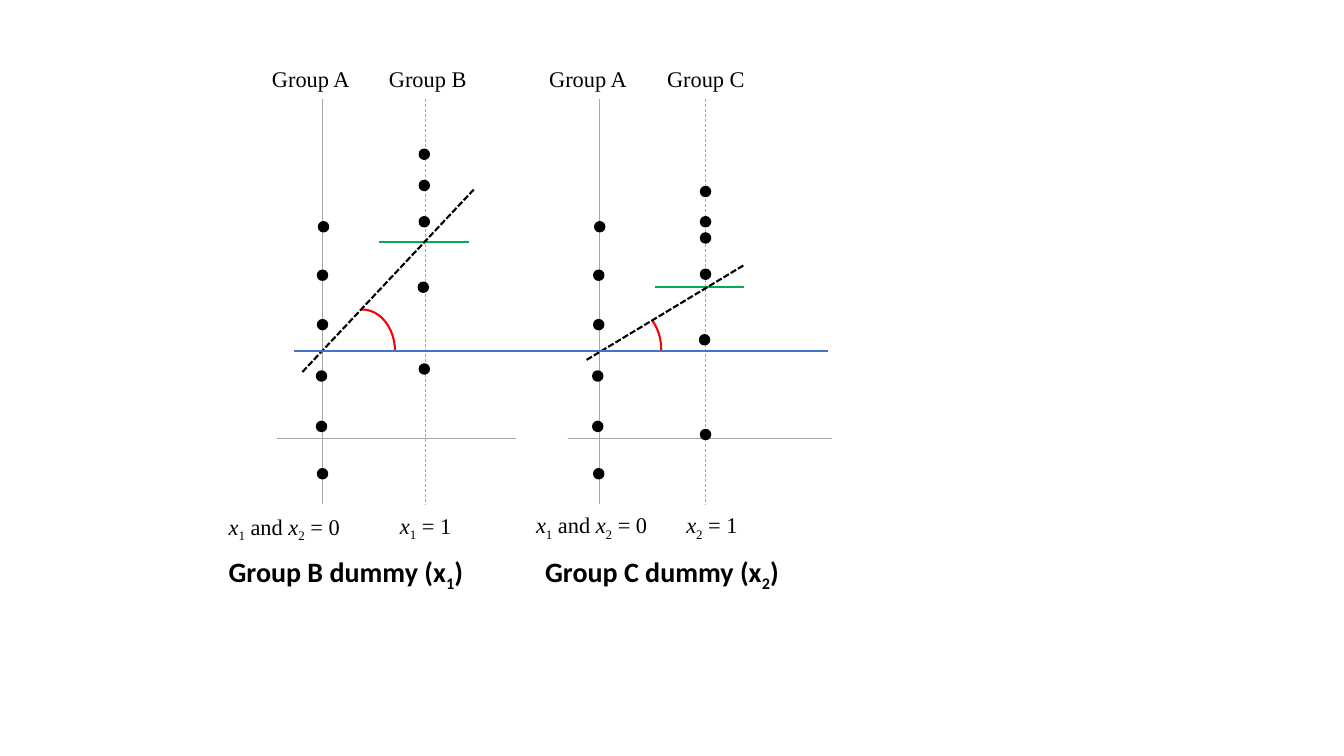
from lxml.etree import SubElement
from pptx import Presentation
from pptx.dml.color import RGBColor
from pptx.enum.dml import MSO_LINE
from pptx.enum.shapes import MSO_CONNECTOR, MSO_SHAPE
from pptx.enum.text import MSO_AUTO_SIZE
from pptx.oxml.ns import qn
from pptx.util import Pt

BLACK, GRAY, GREEN, RED, BLUE = "000000", "A6A6A6", "00B050", "FF0000", "4472C4"
SERIF, SANS = "Times New Roman", "Calibri"
AXIS_HEIGHT = 289.4
BASELINE_Y = 242.6
DOT = 7.2
GROUP_A_DOTS = [(0.7, 91.4), (0, 126), (0, 161.3), (-0.7, 198), (-0.7, 234), (0, 267.8)]
X1 = [("x", "i"), ("1", "sub")]
X2 = [("x", "i"), ("2", "sub")]

PANELS = [
    dict(
        left=230.4, group="Group B", term=X1, title=["Group B dummy (x", "1", ")"],
        group_x=73.4, baseline=(-32.4, 138.2), shift_a=0,
        dots=[(-0.7, 39.6), (-0.7, 61.9), (-0.7, 87.8), (-1.4, 134.6), (-0.7, 193)],
        mean=(40.3, 104.4, 102.2), slope=(-14.4, 195.1, 108.7, 64.1),
        arc=(5, 150.5), arc_angles=None,
        head_x=40.3, zero=(-74.2, 292.3), one=(48.2, 291.6), title_x=-74.2,
    ),
    dict(
        left=428.4, group="Group C", term=X2, title=["Group C dummy (x", "2", ")"],
        group_x=75.6, baseline=(-23, 165.6), shift_a=-0.7,
        dots=[(0, 66.2), (0, 87.8), (0, 99.4), (0, 125.3), (-0.7, 172.1), (0, 239.8)],
        mean=(39.6, 103, 134.6), slope=(-9.4, 186.5, 103, 118.8),
        arc=(-2.9, 149), arc_angles=(185.41, 2.89),
        head_x=41, zero=(-52.6, 290.9), one=(54.7, 290.9), title_x=-46.1,
    ),
]


def rgb(value):
    """Turn a hex string into a colour."""
    return RGBColor.from_string(value)


def add_line(s, x1, y1, x2, y2, color, width, dash=None):
    """Draw a straight line without shadow."""
    line = s.shapes.add_connector(MSO_CONNECTOR.STRAIGHT, Pt(x1), Pt(y1), Pt(x2), Pt(y2))
    line.line.color.rgb = rgb(color)
    line.line.width = Pt(width)
    if dash:
        line.line.dash_style = dash
    SubElement(line._element.spPr, qn("a:effectLst"))


def add_dot(s, x, y):
    """Draw one observation centred on a point."""
    sp = s.shapes.add_shape(MSO_SHAPE.OVAL, Pt(x - DOT / 2), Pt(y - DOT / 2), Pt(DOT), Pt(DOT))
    sp.shadow.inherit = False
    sp.fill.solid()
    sp.fill.fore_color.rgb = rgb(BLACK)
    sp.line.color.rgb = rgb(BLACK)
    sp.line.width = Pt(1)


def add_arc(s, x, y, angles):
    """Draw the red angle mark of a slope."""
    sp = s.shapes.add_shape(MSO_SHAPE.ARC, Pt(x), Pt(y), Pt(46.8), Pt(59.8))
    sp.shadow.inherit = False
    sp.fill.background()
    sp.line.color.rgb = rgb(RED)
    sp.line.width = Pt(1.5)
    if angles:
        sp.adjustments[0], sp.adjustments[1] = angles


def add_text(s, x, y, w, h, runs, font=SERIF, size=16, bold=False):
    """Place a label made of plain, italic and subscript runs."""
    tf = s.shapes.add_textbox(Pt(x), Pt(y), Pt(w), Pt(h)).text_frame
    tf.word_wrap = True
    tf.auto_size = MSO_AUTO_SIZE.SHAPE_TO_FIT_TEXT
    p = tf.paragraphs[0]
    for text, style in runs:
        r = p.add_run()
        r.text = text
        r.font.name = font
        r.font.size = Pt(size)
        r.font.bold = bold
        r.font.italic = style == "i"
        r.font.color.rgb = rgb(BLACK)
        if style == "sub":
            r._r.get_or_add_rPr().set("baseline", "-25000")


def add_panel(s, x, y, d):
    """Draw one dummy-variable plot from the top of its Group A axis."""
    group_x = x + d["group_x"]
    add_line(s, x, y, x, y + AXIS_HEIGHT, GRAY, 0.5)
    add_line(s, group_x, y, group_x, y + AXIS_HEIGHT, GRAY, 0.5, MSO_LINE.DASH)
    start, end = d["baseline"]
    add_line(s, x + start, y + BASELINE_Y, x + end, y + BASELINE_Y, GRAY, 0.5)

    for axis, dots in ((x + d["shift_a"], GROUP_A_DOTS), (group_x, d["dots"])):
        for dx, dy in dots:
            add_dot(s, axis + dx, y + dy)

    start, end, mean_y = d["mean"]
    add_line(s, x + start, y + mean_y, x + end, y + mean_y, GREEN, 1.5)
    add_arc(s, x + d["arc"][0], y + d["arc"][1], d["arc_angles"])
    x1, y1, x2, y2 = d["slope"]
    add_line(s, x + x1, y + y1, x + x2, y + y2, BLACK, 1.5, MSO_LINE.SQUARE_DOT)

    for dx, name in ((-43.2, "Group A"), (d["head_x"], d["group"])):
        add_text(s, x + dx, y - 27.4, 85, 26.6, [(name, "")])
    zero = X1 + [(" and ", "")] + X2 + [(" = 0", "")]
    one = d["term"] + [(" = 1", "")]
    for (dx, dy), w, runs in ((d["zero"], 113.8, zero), (d["one"], 65.5, one)):
        add_text(s, x + dx, y + dy, w, 26.6, runs)
    title = list(zip(d["title"], ("", "sub", "")))
    add_text(s, x + d["title_x"], y + 321.8, 196.6, 31.7, title, SANS, 20, True)


def main():
    """Build the slide and save it."""
    prs = Presentation()
    prs.slide_width, prs.slide_height = Pt(960), Pt(540)
    s = prs.slides.add_slide(prs.slide_layouts[6])
    for panel in PANELS:
        add_panel(s, panel["left"], 70.6, panel)
    add_line(s, 210.2, 250.6, 591.8, 250.6, BLUE, 1.5)
    prs.save("out.pptx")


if __name__ == "__main__":
    main()
